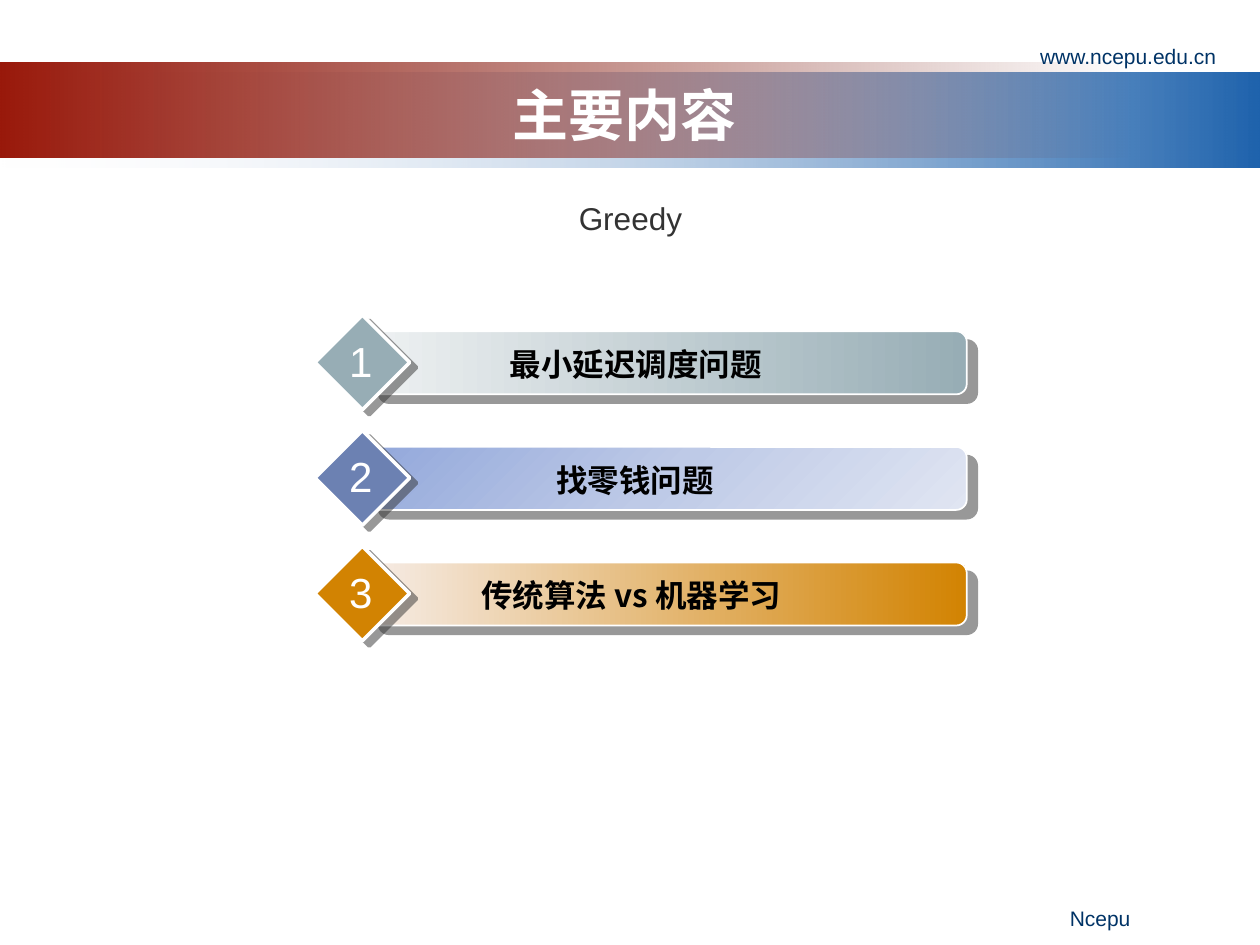
from dataclasses import dataclass

from lxml import etree
from pptx import Presentation
from pptx.dml.color import RGBColor
from pptx.enum.shapes import MSO_SHAPE
from pptx.enum.text import MSO_ANCHOR, PP_ALIGN
from pptx.oxml.ns import qn
from pptx.util import Cm, Pt

RECTANGLE = MSO_SHAPE.RECTANGLE
ROUNDED = MSO_SHAPE.ROUNDED_RECTANGLE
DIAMOND = MSO_SHAPE.DIAMOND
CENTER = PP_ALIGN.CENTER
RIGHT = PP_ALIGN.RIGHT
MIDDLE = MSO_ANCHOR.MIDDLE


@dataclass(frozen=True)
class Theme:
    latin: str = "Arial"
    chinese: str = "Noto Sans CJK SC"
    white: str = "FFFFFF"
    black: str = "000000"
    navy: str = "003366"
    dark: str = "333333"
    title_size: int = 32
    number_size: int = 24
    text_size: int = 18
    small_size: int = 12
    blue_band: tuple = ((0, "F1F2F7", 0), (100, "1F63AD", 100))
    red_band: tuple = ((0, "99190B", 100), (100, "6D1208", 0))
    gray_bar: tuple = ((0, "EEF1F2", 100), (100, "97ADB5", 100))
    blue_bar: tuple = ((0, "93A8DB", 100), (50, "BECAE7", 100), (100, "E0E5F2", 100))
    orange_bar: tuple = ((0, "F6ECE6", 100), (100, "D28302", 100))
    gray: str = "97ADB5"
    blue: str = "6C81B2"
    orange: str = "D28302"


theme = Theme()


def write_text(shape, text, size, color, font, alignment, bold=False, wrap=True):
    frame = shape.text_frame
    frame.word_wrap = wrap
    frame.text = text
    paragraph = frame.paragraphs[0]
    paragraph.alignment = alignment
    run = paragraph.runs[0]
    run.font.size = Pt(size)
    run.font.bold = bold
    run.font.color.rgb = RGBColor.from_string(color)
    run.font.name = font
    etree.SubElement(run.font._element, qn("a:ea"), typeface=font)


def add_panel(shapes, kind, box, fill, angle=0, line_width=0, shadow=None):
    shape = shapes.add_shape(kind, *[Cm(length) for length in box])
    if isinstance(fill, str):
        shape.fill.solid()
        shape.fill.fore_color.rgb = RGBColor.from_string(fill)
    else:
        shape.fill.gradient()
        shape.fill.gradient_angle = (360 - angle) % 360
        stops = shape._element.spPr.find(".//" + qn("a:gsLst"))
        for stop in list(stops):
            stops.remove(stop)
        for position, color, opacity in fill:
            stop = etree.SubElement(stops, qn("a:gs"), pos=str(position * 1000))
            tint = etree.SubElement(stop, qn("a:srgbClr"), val=color)
            etree.SubElement(tint, qn("a:alpha"), val=str(opacity * 1000))
    if line_width:
        shape.line.color.rgb = RGBColor.from_string(theme.white)
        shape.line.width = Pt(line_width)
    else:
        shape.line.fill.background()
    shape.shadow.inherit = False
    if shadow:
        distance, direction = shadow
        effects = shape._element.spPr.find(qn("a:effectLst"))
        outer = etree.SubElement(
            effects, qn("a:outerShdw"), blurRad="0", dist=str(Pt(distance)),
            dir=str(direction * 60000), algn="ctr", rotWithShape="0",
        )
        tint = etree.SubElement(outer, qn("a:srgbClr"), val=theme.dark)
        etree.SubElement(tint, qn("a:alpha"), val="50000")
    return shape


presentation = Presentation()
presentation.slide_width = Cm(25.4)
presentation.slide_height = Cm(19.05)
slide = presentation.slides.add_slide(presentation.slide_layouts[5])
shapes = slide.shapes

title = shapes.title
add_panel(shapes, RECTANGLE, (0, 1.47, 25.4, 1.91), theme.blue_band)
red_band = add_panel(shapes, RECTANGLE, (0, 1.26, 22.86, 1.91), theme.red_band)
red_band._element.addnext(title._element)

title.left, title.top, title.width, title.height = Cm(2.34), Cm(1.52), Cm(20.52), Cm(1.57)
write_text(title, "主要内容", theme.title_size, theme.white, theme.chinese, CENTER, bold=True)
title.text_frame.vertical_anchor = MIDDLE

captions = [
    ("www.ncepu.edu.cn", (18.85, 0.76, 5.92, 0.69), theme.small_size, theme.navy, RIGHT),
    ("Ncepu", (14.99, 18.14, 8.05, 0.76), theme.small_size, theme.navy, RIGHT),
    ("Greedy", (11.4, 3.89, 2.62, 1.02), theme.text_size, theme.dark, CENTER),
]
for text, box, size, color, alignment in captions:
    caption = shapes.add_textbox(*[Cm(length) for length in box])
    write_text(caption, text, size, color, theme.latin, alignment, wrap=False)

FIRST_TOP = 6.35
ROW_PITCH = 2.33
topics = [
    ("最小延迟调度问题", 8.05, 9.53, theme.gray, theme.gray_bar, 0),
    ("找零钱问题", 7.09, 11.43, theme.blue, theme.blue_bar, 45),
    ("传统算法 vs 机器学习", 7.96, 9.53, theme.orange, theme.orange_bar, 0),
]
for index, (text, left, width, color, gradient, angle) in enumerate(topics):
    top = FIRST_TOP + index * ROW_PITCH
    group = shapes.add_group_shape()
    add_panel(group.shapes, ROUNDED, (7.42, top + 0.33, 12.07, 1.27), gradient, angle, 1, (7.8, 40))
    add_panel(group.shapes, DIAMOND, (6.35, top, 1.91, 1.91), color, 0, 2, (5, 37))
    label = group.shapes.add_textbox(Cm(left), Cm(top + 0.48), Cm(width), Cm(1.02))
    write_text(label, text, theme.text_size, theme.black, theme.chinese, CENTER, bold=True)
    number = group.shapes.add_textbox(Cm(6.78), Cm(top + 0.28), Cm(0.99), Cm(1.27))
    write_text(number, str(index + 1), theme.number_size, theme.white, theme.latin, CENTER, wrap=False)

presentation.save("out.pptx")
